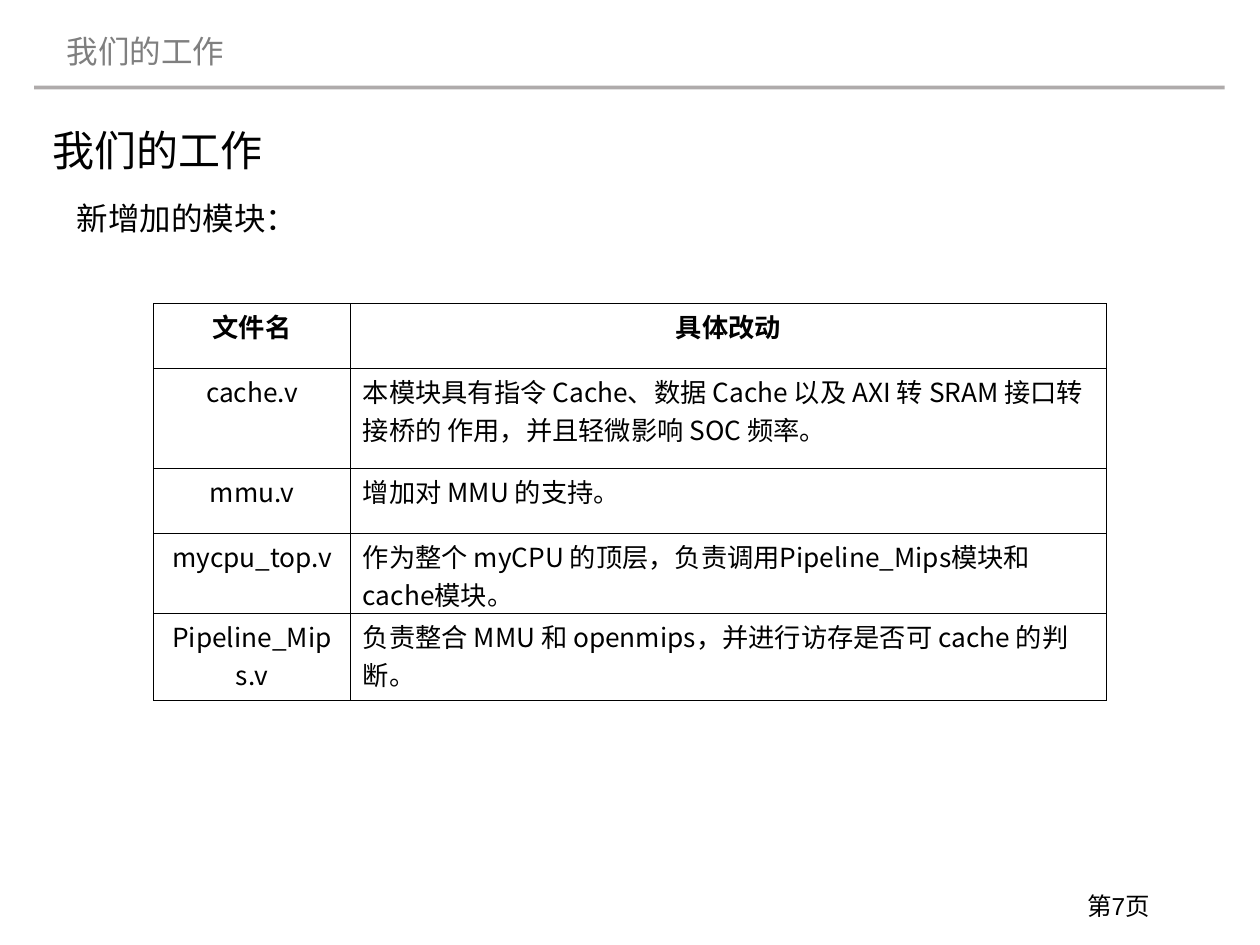
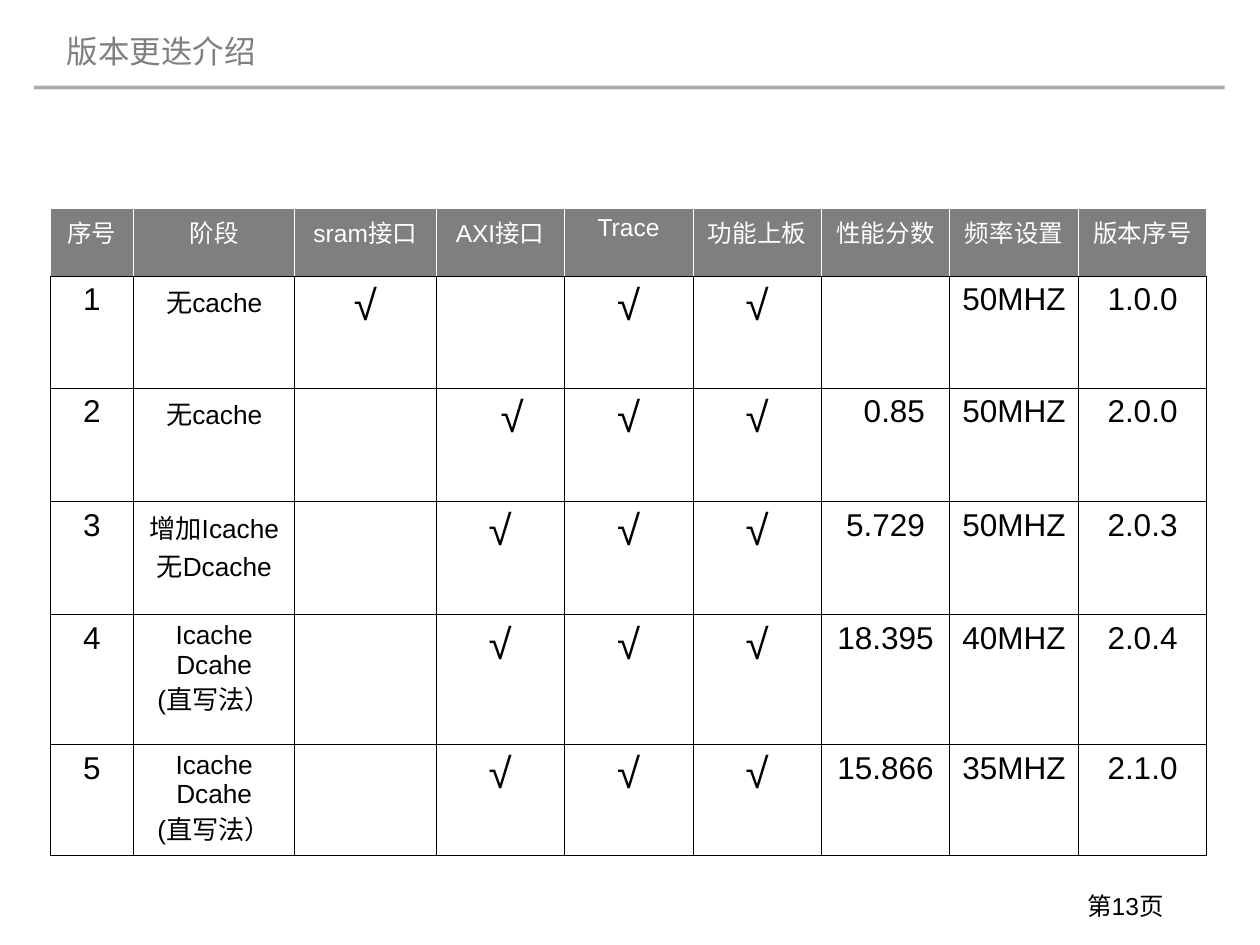
from dataclasses import dataclass

from lxml import etree
from pptx import Presentation
from pptx.dml.color import RGBColor
from pptx.enum import shapes, text
from pptx.oxml import ns
from pptx.util import Inches, Pt


@dataclass(frozen=True)
class Theme:
    latin: str = "Arial"
    chinese: str = "Noto Sans CJK SC"
    black: str = "000000"
    white: str = "FFFFFF"
    gray: str = "7F7F7F"
    rule: str = "AFABAB"
    heading: int = 24
    body: int = 18
    cell: int = 15
    small: int = 14
    border: float = 0.45


THEME = Theme()
CENTER = text.PP_ALIGN.CENTER
LEFT = text.PP_ALIGN.LEFT

MODULE_ROWS = [
    ("文件名", "具体改动"),
    ("cache.v", "本模块具有指令 Cache、数据 Cache 以及 AXI 转 SRAM 接口转接桥的 作用，并且轻微影响 SOC 频率。"),
    ("mmu.v", "增加对 MMU 的支持。"),
    ("mycpu_top.v", "作为整个 myCPU 的顶层，负责调用Pipeline_Mips模块和cache模块。"),
    ("Pipeline_Mips.v", "负责整合 MMU 和 openmips，并进行访存是否可 cache 的判断。"),
]

VERSION_HEADERS = ("序号", "阶段", "sram接口", "AXI接口", "Trace", "功能上板", "性能分数", "频率设置", "版本序号")
WRITE_THROUGH = "Icache\nDcahe\n(直写法）"
VERSION_ROWS = [
    ("1", "无cache", "√", "", "√", "√", "", "50MHZ", "1.0.0"),
    ("2", "无cache", "", "√", "√", "√", "0.85", "50MHZ", "2.0.0"),
    ("3", "增加Icache\n无Dcache", "", "√", "√", "√", "5.729", "50MHZ", "2.0.3"),
    ("4", WRITE_THROUGH, "", "√", "√", "√", "18.395", "40MHZ", "2.0.4"),
    ("5", WRITE_THROUGH, "", "√", "√", "√", "15.866", "35MHZ", "2.1.0"),
]
STAGE_COLUMN = 1
CELL_INDENTS = {(2, 3): 0.29, (2, 6): 0.24}


def write(text_frame, content, size, color=THEME.black, latin=THEME.latin, bold=False, align=LEFT):
    text_frame.text = content
    for paragraph in text_frame.paragraphs:
        paragraph.alignment = align
        for run in paragraph.runs:
            run.font.name = latin
            run.font.size = Pt(size)
            run.font.bold = bold
            run.font.color.rgb = RGBColor.from_string(color)
            east_asian = etree.SubElement(run.font._element, ns.qn("a:ea"))
            east_asian.set("typeface", THEME.chinese)


def add_text(slide, box, content, size, color=THEME.black):
    shape = slide.shapes.add_textbox(*map(Inches, box))
    shape.text_frame.word_wrap = True
    write(shape.text_frame, content, size, color)
    return shape.text_frame


def add_frame(slide, title, page):
    line = slide.shapes.add_shape(
        shapes.MSO_SHAPE.RECTANGLE, Inches(0.27), Inches(0.68), Inches(9.45), Inches(0.03))
    line.shadow.inherit = False
    line.fill.solid()
    line.fill.fore_color.rgb = RGBColor.from_string(THEME.rule)
    line.line.fill.background()
    add_text(slide, (8.53, 7.02, 1.19, 0.4), f"第{page}页", THEME.small)
    title_frame = add_text(slide, (0.43, 0.07, 2.98, 0.61), title, THEME.body, THEME.gray)
    title_frame.vertical_anchor = text.MSO_ANCHOR.MIDDLE
    title_frame.paragraphs[0].line_spacing = 1.2


def style_cell(cell, fill=None, side_color=THEME.black):
    properties = cell._tc.get_or_add_tcPr()
    for side in "LRTB":
        line = etree.SubElement(properties, ns.qn(f"a:ln{side}"), w=str(Pt(THEME.border)))
        solid = etree.SubElement(line, ns.qn("a:solidFill"))
        color = THEME.black if side == "B" else side_color
        etree.SubElement(solid, ns.qn("a:srgbClr"), val=color)
    if fill:
        cell.fill.solid()
        cell.fill.fore_color.rgb = RGBColor.from_string(fill)
    else:
        cell.fill.background()


def add_grid(slide, left, top, widths, heights):
    frame = slide.shapes.add_table(
        len(heights), len(widths), Inches(left), Inches(top),
        Inches(sum(widths)), Inches(sum(heights)))
    table = frame.table
    table.first_row = False
    table.horz_banding = False
    for column, width in zip(table.columns, widths):
        column.width = Inches(width)
    for row, height in zip(table.rows, heights):
        row.height = Inches(height)
    return table


def add_module_table(slide, left, top):
    table = add_grid(slide, left, top, [1.56, 6], [0.51, 0.8, 0.51, 0.64, 0.69])
    for row, contents in enumerate(MODULE_ROWS):
        for column, content in enumerate(contents):
            cell = table.cell(row, column)
            style_cell(cell)
            cell.margin_top = Inches(0.03)
            cell.margin_bottom = 0
            align = CENTER if row == 0 or column == 0 else LEFT
            write(cell.text_frame, content, THEME.cell, latin=THEME.chinese,
                  bold=row == 0, align=align)


def version_size(content, column):
    if content == "√":
        return THEME.heading
    return THEME.cell if column == STAGE_COLUMN else THEME.body


def add_version_table(slide, left, top):
    table = add_grid(slide, left, top, [0.66, 1.28, 1.12] + [1.02] * 6,
                     [0.54, 0.89, 0.9, 0.9, 1.03, 0.88])
    for column, header in enumerate(VERSION_HEADERS):
        cell = table.cell(0, column)
        style_cell(cell, THEME.gray, THEME.white)
        write(cell.text_frame, header, THEME.small, THEME.white, align=CENTER)
    for row, contents in enumerate(VERSION_ROWS, start=1):
        for column, content in enumerate(contents):
            cell = table.cell(row, column)
            style_cell(cell)
            write(cell.text_frame, content, version_size(content, column), align=CENTER)
    for position, indent in CELL_INDENTS.items():
        table.cell(*position).margin_left = Inches(indent)


def build_work_slide(slide):
    add_frame(slide, "我们的工作", 7)
    add_text(slide, (0.32, 0.94, 3.37, 0.5), "我们的工作", THEME.heading)
    add_text(slide, (0.51, 1.53, 2.22, 0.4), "新增加的模块：", THEME.body)
    add_module_table(slide, 1.22, 2.41)


def build_version_slide(slide):
    add_frame(slide, "版本更迭介绍", 13)
    add_version_table(slide, 0.4, 1.65)


def main():
    presentation = Presentation()
    presentation.slide_width = Inches(10)
    presentation.slide_height = Inches(7.5)
    for build in (build_work_slide, build_version_slide):
        build(presentation.slides.add_slide(presentation.slide_layouts[6]))
    presentation.save("out.pptx")


if __name__ == "__main__":
    main()
